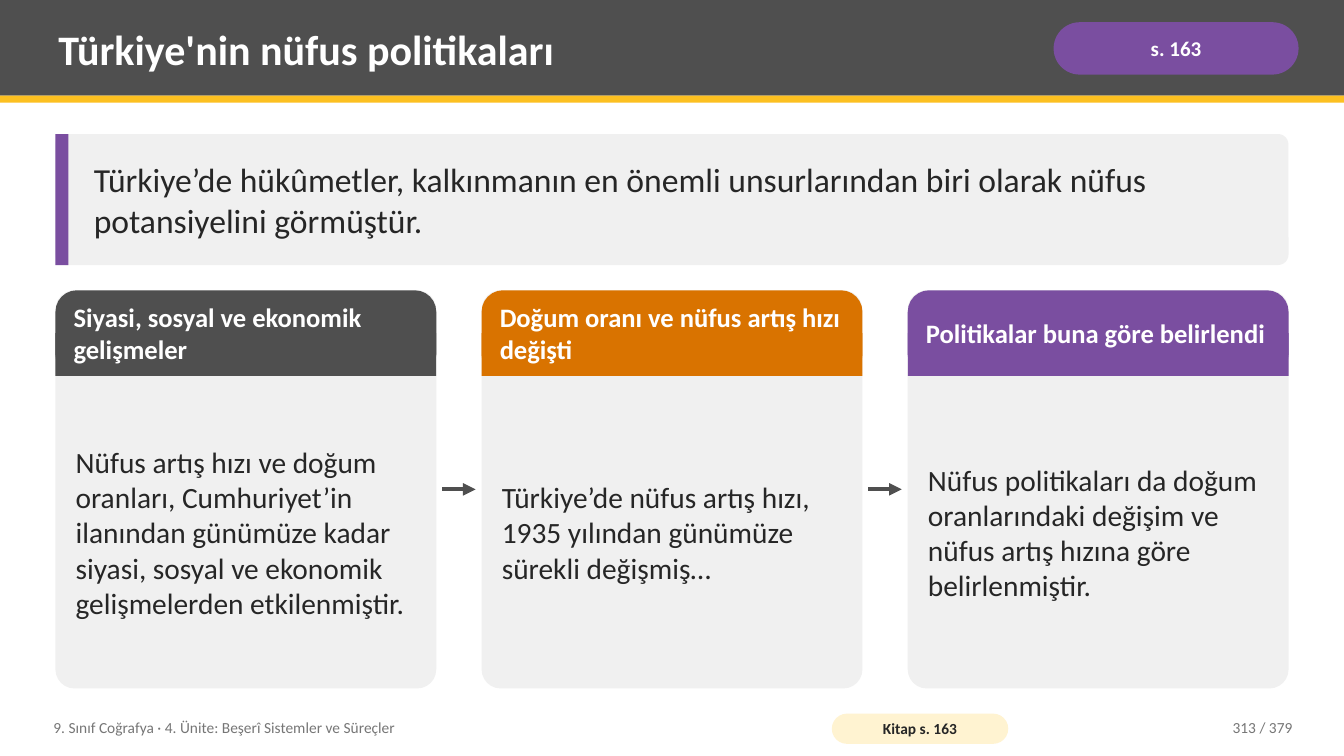
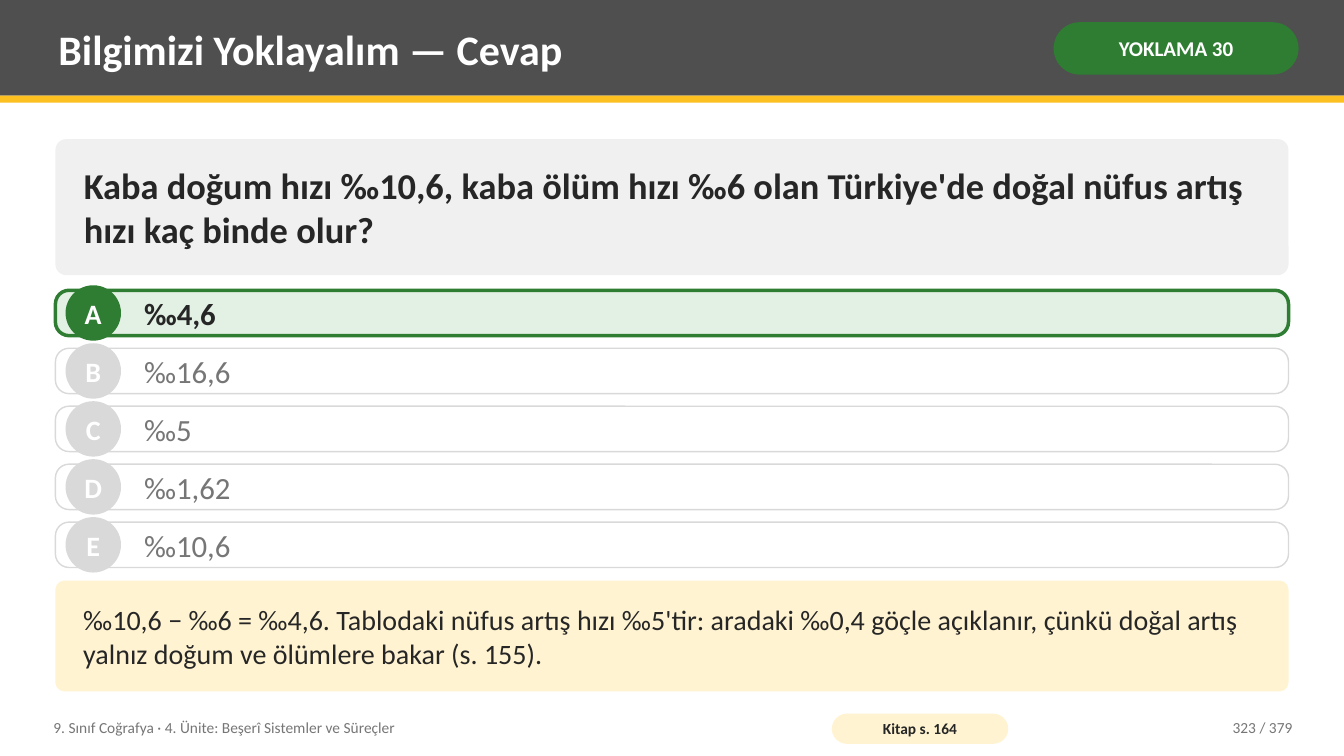
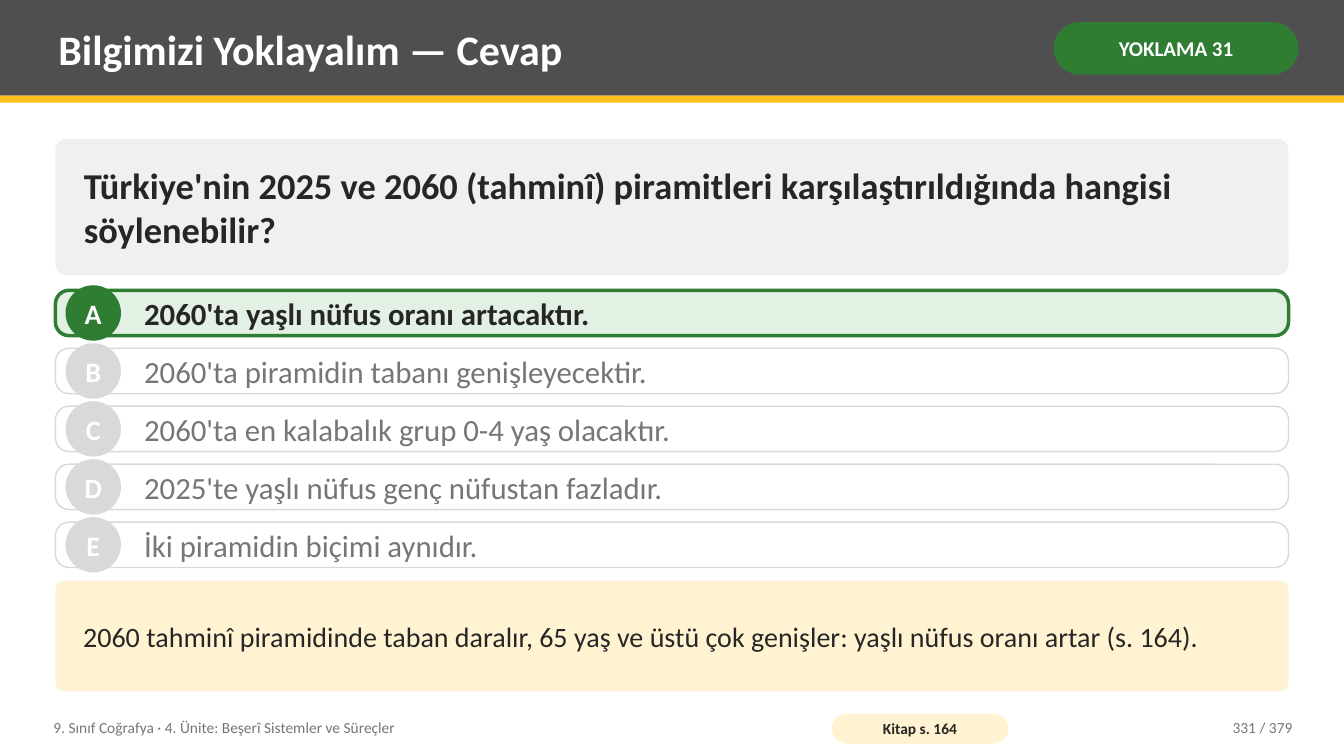
from lxml.etree import SubElement
from pptx import Presentation
from pptx.dml.color import RGBColor
from pptx.enum.shapes import MSO_CONNECTOR, MSO_SHAPE as SHAPE
from pptx.enum.text import MSO_ANCHOR, PP_ALIGN as ALIGN
from pptx.oxml.ns import qn
from pptx.util import Inches, Pt

WIDTH, HEIGHT = 13.33, 7.5
LEFT, SPAN = 0.55, 12.23
FONT = "Calibri"
COLORS = {
    "dark": "4F4F4F", "gold": "FCC021", "purple": "7A4EA0", "orange": "D97300",
    "green": "2E7D32", "mint": "E3F1E4", "cream": "FFF3D1", "panel": "F0F0F0",
    "rule": "D9D9D9", "ink": "262626", "muted": "767676", "white": "FFFFFF",
}

UNIT = "9. Sınıf Coğrafya · 4. Ünite: Beşerî Sistemler ve Süreçler"
TOTAL = 379

POLICY = {
    "title": "Türkiye'nin nüfus politikaları", "badge": "s. 163", "accent": "purple",
    "book": 163, "number": 313,
    "lead": "Türkiye’de hükûmetler, kalkınmanın en önemli unsurlarından biri olarak "
            "nüfus potansiyelini görmüştür.",
    "cards": [
        ("dark", "Siyasi, sosyal ve ekonomik gelişmeler",
         "Nüfus artış hızı ve doğum oranları, Cumhuriyet’in ilanından günümüze kadar "
         "siyasi, sosyal ve ekonomik gelişmelerden etkilenmiştir."),
        ("orange", "Doğum oranı ve nüfus artış hızı değişti",
         "Türkiye’de nüfus artış hızı, 1935 yılından günümüze sürekli değişmiş…"),
        ("purple", "Politikalar buna göre belirlendi",
         "Nüfus politikaları da doğum oranlarındaki değişim ve nüfus artış hızına göre "
         "belirlenmiştir."),
    ],
}

QUIZ = {"title": "Bilgimizi Yoklayalım — Cevap", "accent": "green", "book": 164, "answer": "A"}
QUESTIONS = [
    QUIZ | {
        "badge": "YOKLAMA 30", "number": 323,
        "question": "Kaba doğum hızı ‰10,6, kaba ölüm hızı ‰6 olan Türkiye'de doğal "
                    "nüfus artış hızı kaç binde olur?",
        "options": ["‰4,6", "‰16,6", "‰5", "‰1,62", "‰10,6"],
        "reason": "‰10,6 − ‰6 = ‰4,6. Tablodaki nüfus artış hızı ‰5'tir: aradaki ‰0,4 "
                  "göçle açıklanır, çünkü doğal artış yalnız doğum ve ölümlere bakar (s. 155).",
    },
    QUIZ | {
        "badge": "YOKLAMA 31", "number": 331,
        "question": "Türkiye'nin 2025 ve 2060 (tahminî) piramitleri karşılaştırıldığında "
                    "hangisi söylenebilir?",
        "options": [
            "2060'ta yaşlı nüfus oranı artacaktır.",
            "2060'ta piramidin tabanı genişleyecektir.",
            "2060'ta en kalabalık grup 0-4 yaş olacaktır.",
            "2025'te yaşlı nüfus genç nüfustan fazladır.",
            "İki piramidin biçimi aynıdır.",
        ],
        "reason": "2060 tahminî piramidinde taban daralır, 65 yaş ve üstü çok genişler: "
                  "yaşlı nüfus oranı artar (s. 164).",
    },
]


def rgb(name):
    return RGBColor.from_string(COLORS[name])


def write(box, text, size, color="ink", bold=False, align=ALIGN.LEFT,
          inset=(0.08, 0.04), wrap=True):
    frame = box.text_frame
    across, down = map(Inches, inset)
    layout = {"word_wrap": wrap, "vertical_anchor": MSO_ANCHOR.MIDDLE,
              "margin_left": across, "margin_right": across,
              "margin_top": down, "margin_bottom": down}
    for name, value in layout.items():
        setattr(frame, name, value)
    para = frame.paragraphs[0]
    para.alignment = align
    span = para.add_run()
    span.text = text
    for name, value in {"name": FONT, "size": Pt(size), "bold": bold}.items():
        setattr(span.font, name, value)
    span.font.color.rgb = rgb(color)


def add_text(page, at, text, size, **style):
    write(page.shapes.add_textbox(*map(Inches, at)), text, size, **style)


def add_box(page, at, fill, kind=SHAPE.RECTANGLE, corner=None, line=None):
    """Filled shape; a corner share makes it rounded, line is (colour, points)."""
    if corner is not None:
        kind = SHAPE.ROUNDED_RECTANGLE
    box = page.shapes.add_shape(kind, *map(Inches, at))
    if corner is not None:
        box.adjustments[0] = corner
    box.shadow.inherit = False
    box.fill.solid()
    box.fill.fore_color.rgb = rgb(fill)
    if line:
        box.line.color.rgb = rgb(line[0])
        box.line.width = Pt(line[1])
    else:
        box.line.fill.background()
    return box


def add_arrow(page, start, end, y):
    arrow = page.shapes.add_connector(
        MSO_CONNECTOR.STRAIGHT, *map(Inches, (start, y, end, y)))
    arrow.line.color.rgb = rgb("dark")
    arrow.line.width = Pt(3)
    SubElement(arrow.line._get_or_add_ln(), qn("a:tailEnd"), type="triangle")
    SubElement(arrow._element.spPr, qn("a:effectLst"))


def add_page(deck, content):
    """Page with the title band, badge and footer that all pages share."""
    page = deck.slides.add_slide(deck.slide_layouts[6])
    add_box(page, (0, 0, WIDTH, 0.95), "dark")
    add_box(page, (0, 0.95, WIDTH, 0.07), "gold")
    add_text(page, (0.5, 0.07, 9.75, 0.82), content["title"], 30, color="white", bold=True)
    badge = add_box(page, (10.45, 0.22, 2.43, 0.52), content["accent"], corner=0.5)
    write(badge, content["badge"], 15, "white", True, ALIGN.CENTER, (0.05, 0.02))

    add_text(page, (0.45, 7.04, 7.6, 0.36), UNIT, 11, color="muted")
    book = add_box(page, (8.25, 7.08, 1.75, 0.3), "cream", corner=0.5)
    write(book, f"Kitap s. {content['book']}", 11, "ink", True, ALIGN.CENTER, (0.04, 0))
    add_text(page, (11.3, 7.04, 1.6, 0.36), f"{content['number']} / {TOTAL}", 11,
             color="muted", align=ALIGN.RIGHT)
    return page


def add_card(page, x, top, width, height, color, heading, body):
    head = 0.85
    add_box(page, (x, top, width, height), "panel", corner=0.05)
    add_box(page, (x, top, width, head), color, corner=0.25)
    add_box(page, (x, top + head / 2, width, head / 2), color)
    add_text(page, (x + 0.1, top, width - 0.2, head), heading, 19, color="white", bold=True)
    add_text(page, (x + 0.12, top + head + 0.08, width - 0.24, height - head - 0.16), body, 21)


def add_policy_page(deck, content):
    page = add_page(deck, content)
    top, height = 1.33, 1.3
    add_box(page, (LEFT, top, SPAN, height), "panel", corner=0.08)
    add_box(page, (LEFT, top, 0.13, height), content["accent"])
    add_text(page, (LEFT + 0.3, top, SPAN - 0.45, height), content["lead"], 24)

    cards = content["cards"]
    top, height, gap, margin = 2.88, 3.95, 0.45, 0.06
    width = (SPAN - gap * (len(cards) - 1)) / len(cards)
    for index, card in enumerate(cards):
        x = LEFT + index * (width + gap)
        add_card(page, x, top, width, height, *card)
        if index:
            add_arrow(page, x - gap + margin, x - margin, top + height / 2)


def add_question_page(deck, content):
    page = add_page(deck, content)
    question = add_box(page, (LEFT, 1.38, SPAN, 1.35), "panel", corner=0.08)
    write(question, content["question"], 26, bold=True, inset=(0.25, 0.08))

    first, last, height, disc = 2.88, 5.18, 0.45, 0.55
    options = content["options"]
    pitch = (last - first) / (len(options) - 1)
    for index, (letter, option) in enumerate(zip("ABCDE", options)):
        y = first + index * pitch
        right = letter == content["answer"]
        mark = "green" if right else "rule"
        add_box(page, (LEFT, y, SPAN, height), "mint" if right else "white",
                corner=0.3, line=(mark, 2.5 if right else 1))
        circle = add_box(page, (LEFT + 0.1, y + (height - disc) / 2, disc, disc),
                         mark, SHAPE.OVAL)
        write(circle, letter, 20, "white", True, ALIGN.CENTER, (0, 0), wrap=False)
        add_text(page, (LEFT + 0.8, y, SPAN - 1, height), option, 22,
                 color="ink" if right else "muted", bold=right)

    reason = add_box(page, (LEFT, 5.76, SPAN, 1.1), "cream", corner=0.08)
    write(reason, content["reason"], 20, inset=(0.25, 0.08))


def main():
    deck = Presentation()
    deck.slide_width, deck.slide_height = Inches(WIDTH), Inches(HEIGHT)
    add_policy_page(deck, POLICY)
    for content in QUESTIONS:
        add_question_page(deck, content)
    deck.save("out.pptx")


if __name__ == "__main__":
    main()
